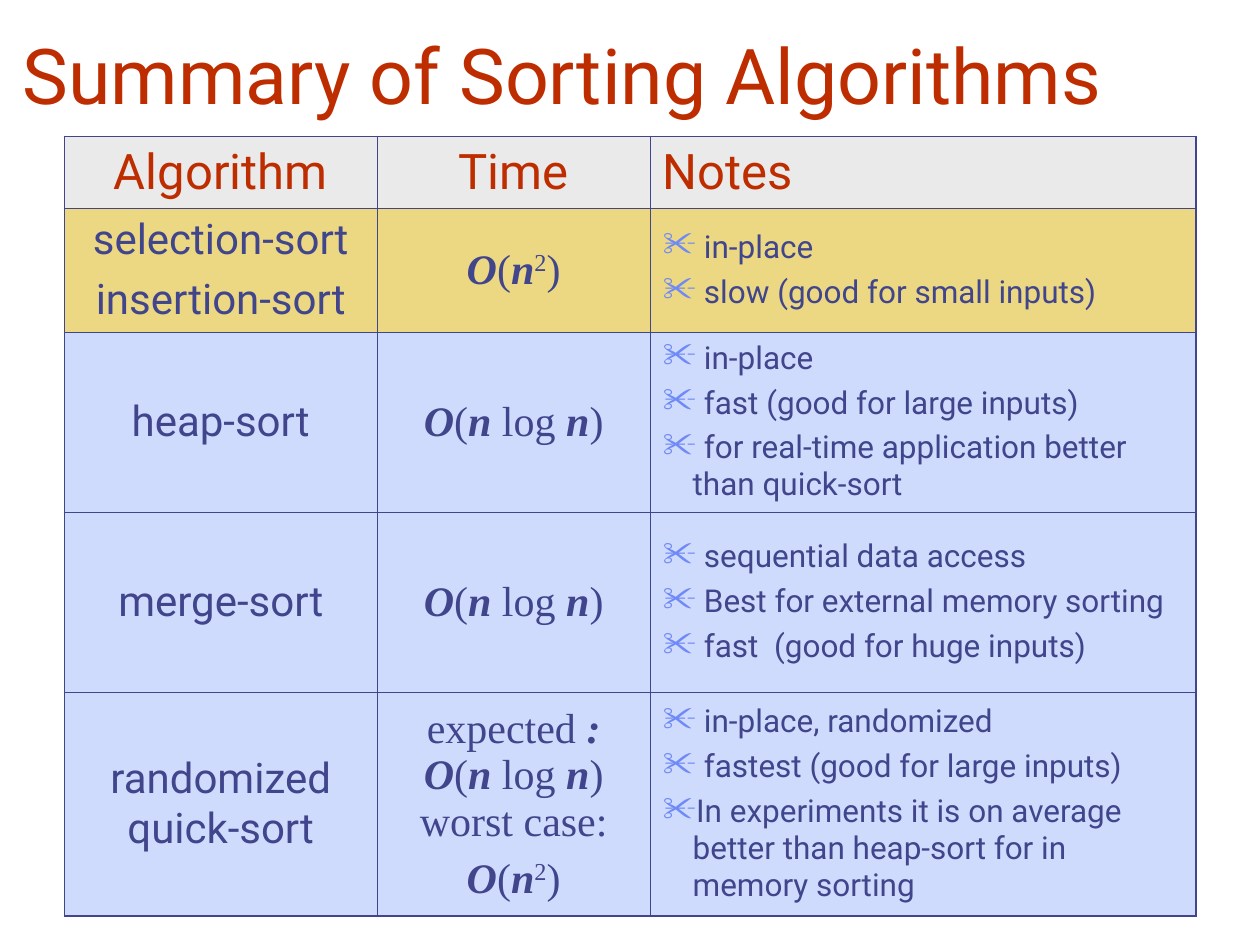
from lxml import etree
from pptx import Presentation
from pptx.dml.color import RGBColor
from pptx.enum.text import MSO_ANCHOR, MSO_AUTO_SIZE, PP_ALIGN
from pptx.oxml.ns import qn
from pptx.util import Cm, Pt

LEFT, CENTER = PP_ALIGN.LEFT, PP_ALIGN.CENTER
MIDDLE, BOTTOM = MSO_ANCHOR.MIDDLE, MSO_ANCHOR.BOTTOM
NO_AUTOFIT = MSO_AUTO_SIZE.NONE
TITLE_ONLY = 5

RED = RGBColor(0xBE, 0x2D, 0x00)
INDIGO = RGBColor(0x40, 0x45, 0x8C)
BULLET_BLUE = RGBColor(0x6F, 0x89, 0xF7)
GREY = RGBColor(0xEA, 0xEA, 0xEA)
YELLOW = RGBColor(0xEC, 0xD8, 0x82)
PALE_BLUE = RGBColor(0xCF, 0xDB, 0xFD)
SANS, SERIF = "Roboto", "Times New Roman"
THIN, THICK = Pt(0.45), Pt(1.08)

PLAIN, STRONG, SUPER, BREAK = "plain", "strong", "super", "break"
N_SQUARED = [("O", STRONG), ("(", PLAIN), ("n", STRONG), ("2", SUPER), (")", PLAIN)]
N_LOG_N = [("O", STRONG), ("(", PLAIN), ("n", STRONG), (" log ", PLAIN),
           ("n", STRONG), (")", PLAIN)]
EXPECTED = [("expected", PLAIN), (" : ", STRONG), *N_LOG_N, ("", BREAK),
            ("worst case:", PLAIN)]

HEADERS = [("Algorithm", CENTER), ("Time", CENTER), ("Notes", LEFT)]
ALGORITHMS = [
    (["selection-sort", "insertion-sort"], [N_SQUARED],
     [" in-place", " slow (good for small inputs)"], YELLOW),
    (["heap-sort"], [N_LOG_N],
     [" in-place", " fast (good for large inputs)",
      " for real-time application better than quick-sort"], PALE_BLUE),
    (["merge-sort"], [N_LOG_N],
     [" sequential data access", " Best for external memory sorting",
      " fast  (good for huge inputs)"], PALE_BLUE),
    (["randomized quick-sort"], [EXPECTED, N_SQUARED],
     [" in-place, randomized", " fastest (good for large inputs)",
      "In experiments it is on average better than heap-sort for in memory sorting"],
     PALE_BLUE),
]
COL_WIDTHS = [Cm(6.3), Cm(5.51), Cm(11)]
ROW_HEIGHTS = [Cm(1.45), Cm(2.49), Cm(3.63), Cm(3.63), Cm(4.52)]


def style_font(font, name, size, color):
    font.name, font.size = name, Pt(size)
    font.color.rgb = color


def add_color(parent, color):
    etree.SubElement(parent, qn("a:srgbClr"), val=str(color))


def add_bullet(p):
    pPr = p._p.get_or_add_pPr()
    pPr.set("marL", str(Cm(0.6)))
    pPr.set("indent", str(-Cm(0.6)))
    add_color(etree.SubElement(pPr, qn("a:buClr")), BULLET_BLUE)
    etree.SubElement(pPr, qn("a:buSzPct"), val="110000")
    etree.SubElement(pPr, qn("a:buChar"), char="✂")


def cell_paragraphs(cell, count, align, space):
    tf = cell.text_frame
    for i in range(count):
        p = tf.add_paragraph() if i else tf.paragraphs[0]
        p.alignment = align
        p.space_before = Pt(space if i else 0)
        yield p


def fill_text(cell, lines, size, color, align=CENTER, space=6, bullets=False):
    for p, line in zip(cell_paragraphs(cell, len(lines), align, space), lines):
        if bullets:
            add_bullet(p)
        p.text = line
        style_font(p.runs[0].font, SANS, size, color)


def fill_formulas(cell, formulas):
    for p, formula in zip(cell_paragraphs(cell, len(formulas), CENTER, 6), formulas):
        for text, style in formula:
            if style == BREAK:
                p.add_line_break()
                continue
            r = p.add_run()
            r.text = text
            style_font(r.font, SERIF, 24, INDIGO)
            r.font.bold = r.font.italic = style == STRONG
            if style == SUPER:
                r.font._element.set("baseline", "30000")


def set_borders(cell, widths):
    tcPr = cell._tc.get_or_add_tcPr()
    for i, (side, width) in enumerate(widths.items()):
        ln = etree.Element(qn(f"a:ln{side}"), w=str(width))
        add_color(etree.SubElement(ln, qn("a:solidFill")), INDIGO)
        tcPr.insert(i, ln)


def style_cells(table, fills):
    last_row, last_col = len(ROW_HEIGHTS) - 1, len(COL_WIDTHS) - 1
    for row, fill in enumerate(fills):
        for col in range(last_col + 1):
            cell = table.cell(row, col)
            cell.vertical_anchor = MIDDLE
            cell.fill.solid()
            cell.fill.fore_color.rgb = fill
            set_borders(cell, {
                "L": THICK if col == 0 else THIN,
                "R": THICK if col == last_col else THIN,
                "T": THICK if row in (0, 1) else THIN,
                "B": THICK if row in (0, last_row) else THIN,
            })


def add_title(slide, text):
    sp = slide.shapes.title
    sp.left, sp.top, sp.width, sp.height = Cm(0.2), Cm(-0.64), Cm(22.43), Cm(3.18)
    tf = sp.text_frame
    tf.text = text
    tf.auto_size = NO_AUTOFIT
    tf.vertical_anchor = BOTTOM
    p = tf.paragraphs[0]
    p.alignment = LEFT
    style_font(p.runs[0].font, SANS, 44, RED)


def add_summary_table(slide):
    table = slide.shapes.add_table(
        len(ROW_HEIGHTS), len(COL_WIDTHS), Cm(1.3), Cm(2.75),
        sum(COL_WIDTHS), sum(ROW_HEIGHTS)).table
    table.first_row = table.horz_banding = False
    for column, width in zip(table.columns, COL_WIDTHS):
        column.width = width
    for row, height in zip(table.rows, ROW_HEIGHTS):
        row.height = height
    for col, (header, align) in enumerate(HEADERS):
        fill_text(table.cell(0, col), [header], 28, RED, align)
    for row, (names, times, notes, _) in enumerate(ALGORITHMS, 1):
        fill_text(table.cell(row, 0), names, 24, INDIGO)
        fill_formulas(table.cell(row, 1), times)
        fill_text(table.cell(row, 2), notes, 18, INDIGO, LEFT, 4.5, bullets=True)
    style_cells(table, [GREY] + [fill for *_, fill in ALGORITHMS])


def main():
    """Build the sorting algorithm summary slide."""
    prs = Presentation()
    prs.slide_width, prs.slide_height = Cm(25.4), Cm(19.05)
    slide = prs.slides.add_slide(prs.slide_layouts[TITLE_ONLY])
    add_title(slide, "Summary of Sorting Algorithms")
    add_summary_table(slide)
    prs.save("out.pptx")


if __name__ == "__main__":
    main()
